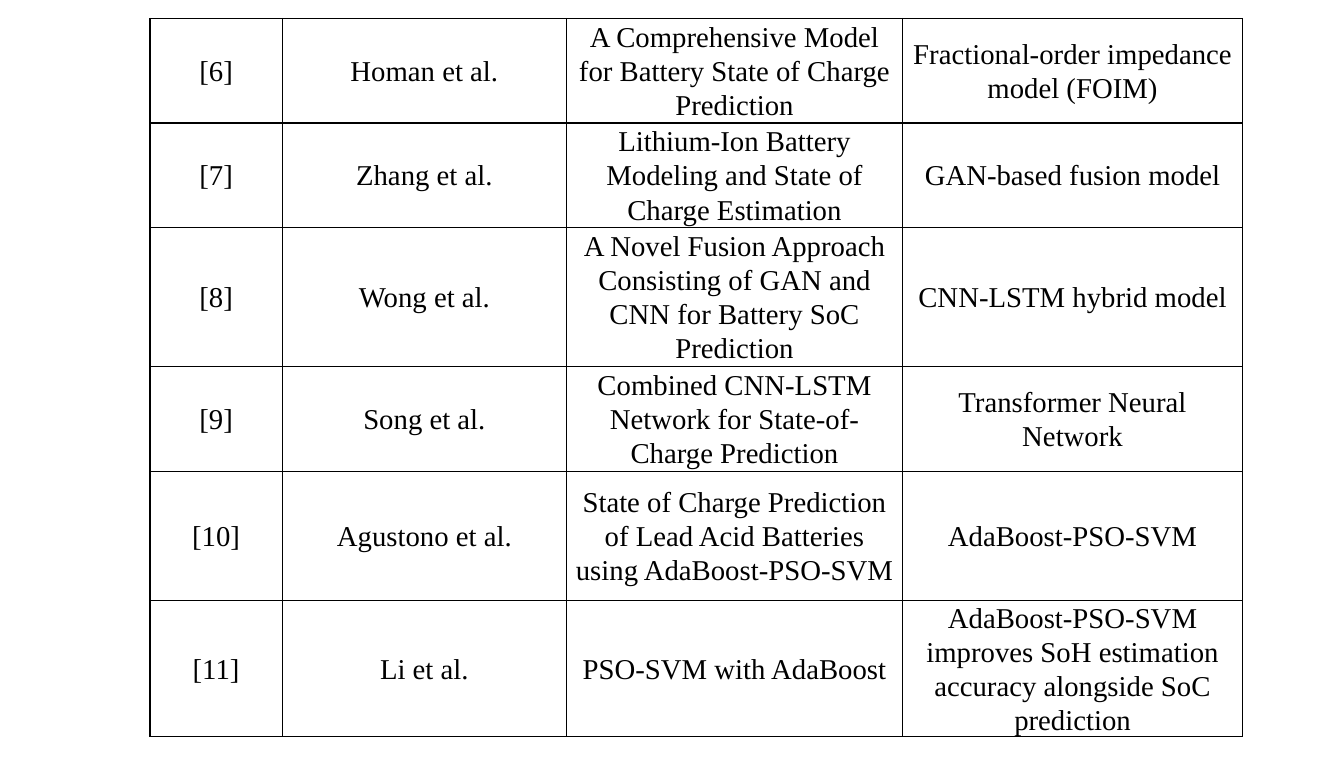
from lxml import etree
from pptx import Presentation
from pptx.dml.color import RGBColor
from pptx.enum.text import MSO_ANCHOR, PP_ALIGN
from pptx.oxml.ns import qn
from pptx.util import Inches, Pt

CENTER = PP_ALIGN.CENTER
MIDDLE = MSO_ANCHOR.MIDDLE

FONT = "Times New Roman"
BLACK = "000000"
WHITE = "FFFFFF"

COLUMN_WIDTHS = [1.28, 2.75, 3.25, 3.29]
ROW_HEIGHTS = [1.01, 1.01, 1.35, 1.01, 1.25, 1.15]

# Reference, authors, title, method
STUDIES = [
    ("[6]", "Homan et al.",
     "A Comprehensive Model for Battery State of Charge Prediction",
     "Fractional-order impedance model (FOIM)"),
    ("[7]", "Zhang et al.",
     "Lithium-Ion Battery Modeling and State of Charge Estimation",
     "GAN-based fusion model"),
    ("[8]", "Wong et al.",
     "A Novel Fusion Approach Consisting of GAN and CNN for Battery SoC Prediction",
     "CNN-LSTM hybrid model"),
    ("[9]", "Song et al.",
     "Combined CNN-LSTM Network for State-of-Charge Prediction",
     "Transformer Neural Network"),
    ("[10]", "Agustono et al.",
     "State of Charge Prediction of Lead Acid Batteries using AdaBoost-PSO-SVM",
     "AdaBoost-PSO-SVM"),
    ("[11]", "Li et al.",
     "PSO-SVM with AdaBoost",
     "AdaBoost-PSO-SVM improves SoH estimation accuracy alongside SoC prediction"),
]


def color(hex_code):
    return RGBColor.from_string(hex_code)


def add_borders(cell, hex_code, width):
    properties = cell._tc.get_or_add_tcPr()
    for side in ("a:lnL", "a:lnR", "a:lnT", "a:lnB"):
        border = etree.SubElement(properties, qn(side), w=str(Pt(width)))
        fill = etree.SubElement(border, qn("a:solidFill"))
        etree.SubElement(fill, qn("a:srgbClr"), val=hex_code)


def write_cell(cell, text):
    cell.vertical_anchor = MIDDLE
    cell.margin_left = cell.margin_right = Inches(0.05)
    cell.margin_top = cell.margin_bottom = 0

    # Borders come before the fill in the cell properties
    add_borders(cell, BLACK, 1)
    cell.fill.background()

    paragraph = cell.text_frame.paragraphs[0]
    paragraph.alignment = CENTER
    paragraph.line_spacing = 1.07
    run = paragraph.add_run()
    run.text = text
    run.font.name = FONT
    run.font.size = Pt(20)
    run.font.color.rgb = color(BLACK)


def add_study_table(slide, left, top):
    table = slide.shapes.add_table(
        len(STUDIES), len(COLUMN_WIDTHS), Inches(left), Inches(top),
        Inches(sum(COLUMN_WIDTHS)), Inches(sum(ROW_HEIGHTS))).table
    table.first_row = False
    table.horz_banding = False

    for column, width in zip(table.columns, COLUMN_WIDTHS):
        column.width = Inches(width)
    for row, height, study in zip(table.rows, ROW_HEIGHTS, STUDIES):
        row.height = Inches(height)
        for cell, text in zip(row.cells, study):
            write_cell(cell, text)


def main():
    presentation = Presentation()
    presentation.slide_width = Inches(13)
    presentation.slide_height = Inches(7.5)
    slide = presentation.slides.add_slide(presentation.slide_layouts[6])

    # Background
    slide.background.fill.solid()
    slide.background.fill.fore_color.rgb = color(WHITE)

    # Literature survey
    add_study_table(slide, 1.45, 0.18)

    presentation.save("out.pptx")


if __name__ == "__main__":
    main()
